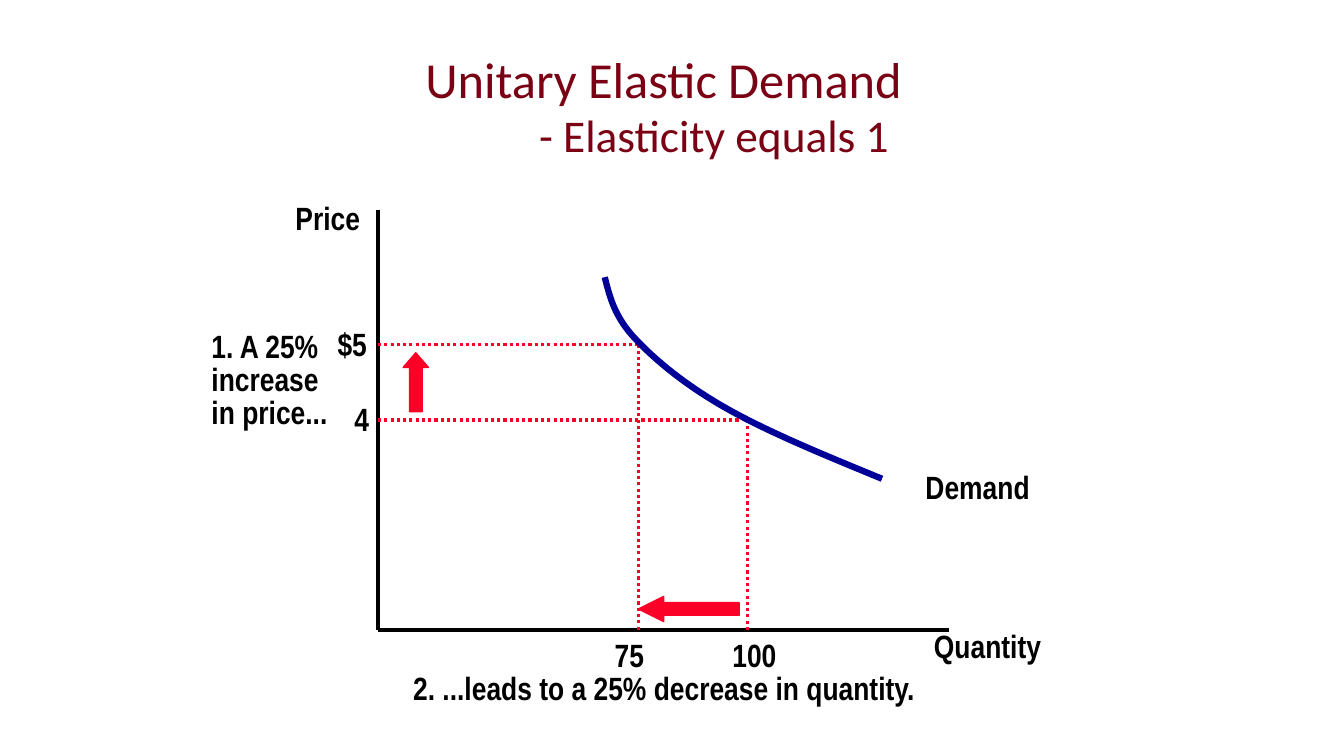
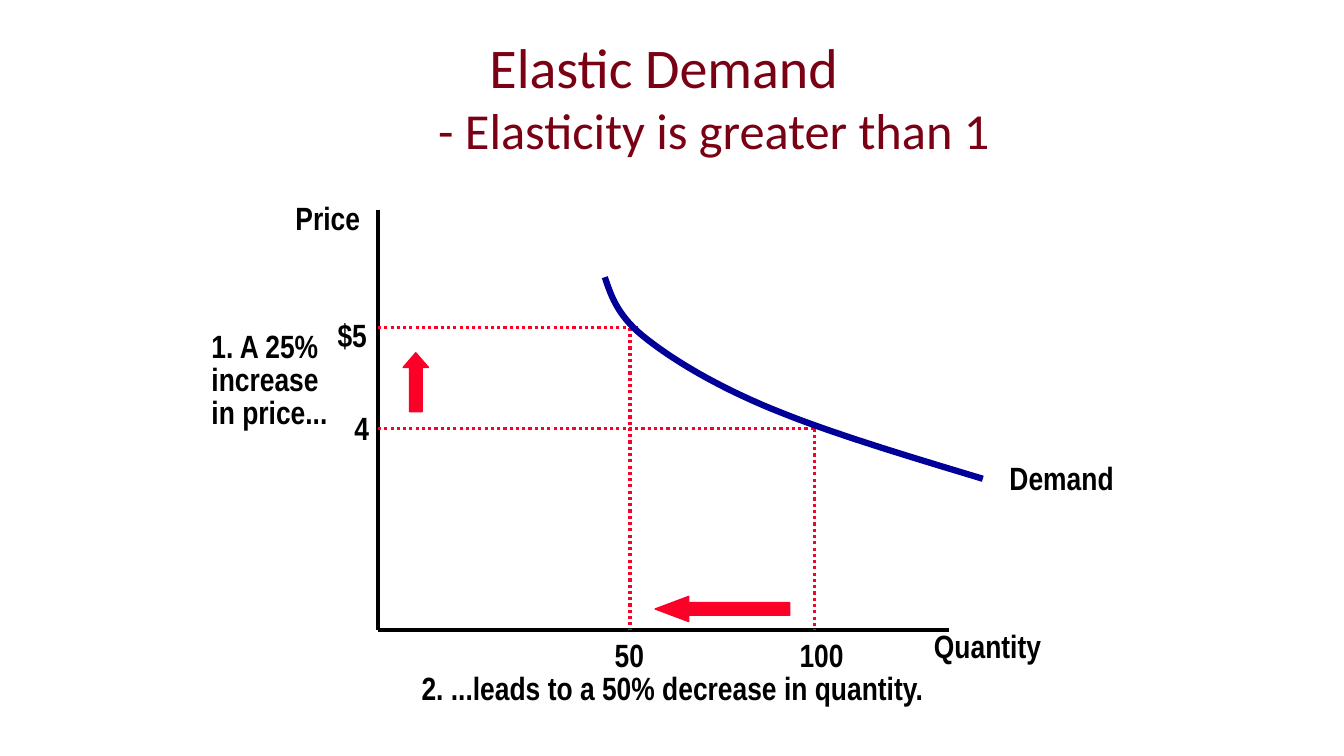
from copy import deepcopy
from dataclasses import dataclass

from lxml import etree
from pptx import Presentation
from pptx import util as u
from pptx.dml.color import RGBColor
from pptx.enum import dml, shapes, text
from pptx.oxml import ns


@dataclass(frozen=True)
class Theme:
    title: RGBColor = RGBColor(0x7A, 0x00, 0x14)
    ink: RGBColor = RGBColor(0x00, 0x00, 0x00)
    accent: RGBColor = RGBColor(0xFC, 0x01, 0x28)
    curve: RGBColor = RGBColor(0x00, 0x00, 0x99)
    title_font: str = "Calibri"
    label_font: str = "Arial Narrow"
    label_size: float = 23
    subtitle_share: float = 0.9
    rule_width: float = 2.25
    curve_width: float = 4.5


theme = Theme()
prs = Presentation()
prs.slide_width, prs.slide_height = u.Inches(13.33), u.Inches(7.5)
COLUMNS, ROWS = 160, 90
column, row = prs.slide_width / COLUMNS, prs.slide_height / ROWS


def grid(left, top, width, height):
    return [round(n) for n in (left * column, top * row, width * column, height * row)]


def add_styled_run(paragraph, words, font, size, color, bold=False):
    run = paragraph.add_run()
    run.text = words
    run.font.name, run.font.size, run.font.bold = font, u.Pt(size), bold
    run.font.color.rgb = color
    return run


ORIGIN_X, ORIGIN_Y = 45, 75
CURVE_LEFT, CURVE_TOP, CURVE_HEIGHT = 72, 33, 24
LABEL_HEIGHT, NOTE_HEIGHT = 5.8, 13
STEPS = 16
DOTTED = dml.MSO_LINE.ROUND_DOT
demand_percent = [
    ((0, 0), (1.8, 10), (3.6, 20), (11.3, 31)),
    ((11.3, 31), (18.5, 41.5), (29.5, 54), (44.4, 65.5)),
    ((44.4, 65.5), (59.3, 77), (79.6, 88.5), (100, 100)),
]

cases = [
    dict(heading="Unitary Elastic Demand", subtitle="- Elasticity equals 1", size=36,
         title_box=(24, 6, 110, 14), low_price=50, low_price_end=88, high_price=41,
         low_quantity=76, high_quantity=89, curve_width=33,
         quantity_arrow=(76, 71, 12, 3), quantity="75", decrease="25%",
         four_row=47, five_row=38, demand_at=(109, 55), hundred_column=86, caption_column=48),
    dict(heading="Elastic Demand", subtitle="- Elasticity is greater than 1", size=40,
         title_box=(24, 3, 110, 18), low_price=51, low_price_end=97, high_price=39,
         low_quantity=75, high_quantity=97, curve_width=45,
         quantity_arrow=(78, 71, 16, 3), quantity="50", decrease="50%",
         four_row=48, five_row=37, demand_at=(119, 54), hundred_column=94, caption_column=49),
]

for case in cases:
    slide = prs.slides.add_slide(prs.slide_layouts[5])

    title = slide.shapes.title
    title.left, title.top, title.width, title.height = grid(*case["title_box"])
    title.text_frame.auto_size = text.MSO_AUTO_SIZE.NONE
    title.text_frame.vertical_anchor = text.MSO_ANCHOR.MIDDLE
    paragraph = title.text_frame.paragraphs[0]
    paragraph.alignment, paragraph.line_spacing = text.PP_ALIGN.CENTER, 0.9
    paragraph._p.get_or_add_pPr().set("defTabSz", str(u.Inches(1)))
    size = case["size"]
    heading = add_styled_run(paragraph, case["heading"], theme.title_font, size, theme.title)
    paragraph.add_line_break()
    paragraph._p.find(ns.qn("a:br")).append(deepcopy(heading._r.rPr))
    add_styled_run(paragraph, "\t", theme.title_font, size, theme.title)
    add_styled_run(paragraph, case["subtitle"], theme.title_font,
                   size * theme.subtitle_share, theme.title)

    low, high = case["low_price"], case["high_price"]
    fewer, more = case["low_quantity"], case["high_quantity"]
    rules = [
        (ORIGIN_X, 25, ORIGIN_X, ORIGIN_Y, theme.ink, None),
        (ORIGIN_X, ORIGIN_Y, 113, ORIGIN_Y, theme.ink, None),
        (ORIGIN_X, low, case["low_price_end"], low, theme.accent, DOTTED),
        (ORIGIN_X, high, 76, high, theme.accent, DOTTED),
        (more, low, more, ORIGIN_Y, theme.accent, DOTTED),
        (fewer, high, fewer, ORIGIN_Y, theme.accent, DOTTED),
    ]
    for *ends, color, dash in rules:
        rule = slide.shapes.add_connector(shapes.MSO_CONNECTOR.STRAIGHT, *grid(*ends))
        rule.line.color.rgb, rule.line.width = color, u.Pt(theme.rule_width)
        if dash:
            rule.line.dash_style = dash
        etree.SubElement(rule._element.spPr, ns.qn("a:effectLst"))

    points = []
    for bends in demand_percent:
        for step in range(STEPS + 1):
            t = step / STEPS
            weights = ((1 - t) ** 3, 3 * t * (1 - t) ** 2, 3 * t ** 2 * (1 - t), t ** 3)
            x, y = (sum(w * bend[axis] for w, bend in zip(weights, bends)) / 100
                    for axis in (0, 1))
            points.append((round((CURVE_LEFT + x * case["curve_width"]) * column),
                           round((CURVE_TOP + y * CURVE_HEIGHT) * row)))
    outline = slide.shapes.build_freeform(*points[0])
    outline.add_line_segments(points[1:], close=False)
    demand = outline.convert_to_shape()
    demand.shadow.inherit = False
    demand.fill.background()
    demand.line.color.rgb, demand.line.width = theme.curve, u.Pt(theme.curve_width)

    arrows = [
        (shapes.MSO_SHAPE.UP_ARROW, (48, 42, 3, 7), 0.58),
        (shapes.MSO_SHAPE.LEFT_ARROW, case["quantity_arrow"], case["quantity_arrow"][2] / 12),
    ]
    for kind, box, head in arrows:
        change = slide.shapes.add_shape(kind, *grid(*box))
        change.adjustments[1] = head
        change.shadow.inherit = False
        change.fill.solid()
        change.fill.fore_color.rgb = theme.accent
        change.line.color.rgb, change.line.width = theme.accent, u.Pt(1)

    labels = [
        (["Quantity"], 110, 74, 15.5),
        (["Price"], 34, 23, 10.2),
        (["4"], 41, case["four_row"], 4.2),
        (["$5"], 39, case["five_row"], 5.9),
        (["1. A 25%", "increase", "in price..."], 24, 39, 16.2),
        (["Demand"], *case["demand_at"], 14.8),
        (["100"], case["hundred_column"], 75, 7.7),
        ([case["quantity"]], 72, 75, 5.9),
        ([f"2. ...leads to a {case['decrease']} decrease in quantity."],
         case["caption_column"], 79, 62.4),
    ]
    for lines, left, top, width in labels:
        height = LABEL_HEIGHT if len(lines) == 1 else NOTE_HEIGHT
        frame = slide.shapes.add_textbox(*grid(left, top, width, height)).text_frame
        frame.word_wrap = False
        frame.auto_size = text.MSO_AUTO_SIZE.SHAPE_TO_FIT_TEXT
        for number, line in enumerate(lines):
            paragraph = frame.add_paragraph() if number else frame.paragraphs[0]
            if len(lines) > 1:
                paragraph.line_spacing = 0.85
            add_styled_run(paragraph, line, theme.label_font, theme.label_size,
                           theme.ink, bold=True)

prs.save("out.pptx")
